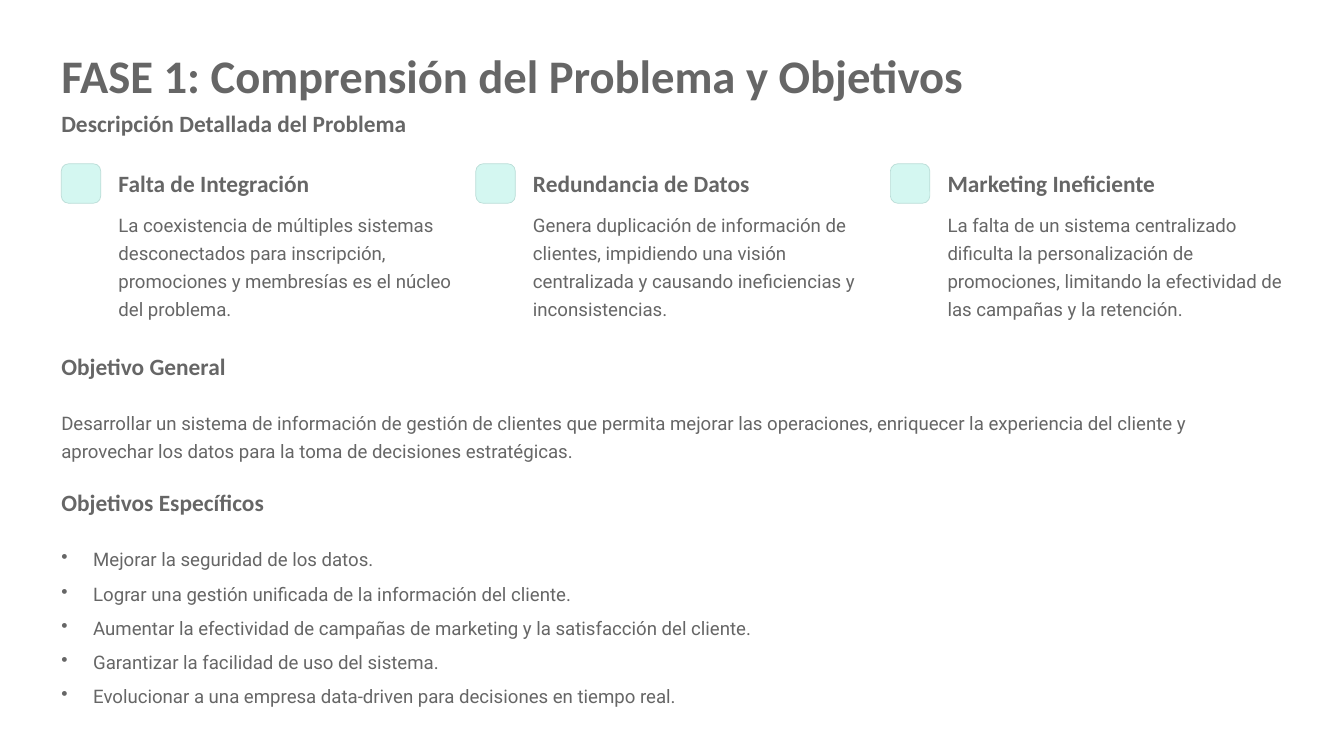
from pptx import Presentation
from pptx.dml.color import RGBColor
from pptx.enum.shapes import MSO_SHAPE
from pptx.enum.text import MSO_ANCHOR, MSO_AUTO_SIZE, PP_ALIGN
from pptx.oxml.ns import qn
from pptx.util import Inches, Pt
from lxml.etree import SubElement

GRAY = RGBColor(0x66, 0x66, 0x66)
MINT = RGBColor(0xD4, 0xF7, 0xF1)
MINT_EDGE = RGBColor(0xBA, 0xDD, 0xD7)

TITLE = "FASE 1: Comprensión del Problema y Objetivos"
HEADINGS = [
    ("Descripción Detallada del Problema", 1.31),
    ("Objetivo General", 4.2),
    ("Objetivos Específicos", 5.82),
]
PROBLEMS = [
    ("Falta de Integración",
     "La coexistencia de múltiples sistemas desconectados para inscripción, "
     "promociones y membresías es el núcleo del problema."),
    ("Redundancia de Datos",
     "Genera duplicación de información de clientes, impidiendo una visión "
     "centralizada y causando ineficiencias y inconsistencias."),
    ("Marketing Ineficiente",
     "La falta de un sistema centralizado dificulta la personalización de "
     "promociones, limitando la efectividad de las campañas y la retención."),
]
GENERAL_GOAL = (
    "Desarrollar un sistema de información de gestión de clientes que permita mejorar las "
    "operaciones, enriquecer la experiencia del cliente y aprovechar los datos para la toma "
    "de decisiones estratégicas."
)
SPECIFIC_GOALS = [
    "Mejorar la seguridad de los datos.",
    "Lograr una gestión unificada de la información del cliente.",
    "Aumentar la efectividad de campañas de marketing y la satisfacción del cliente.",
    "Garantizar la facilidad de uso del sistema.",
    "Evolucionar a una empresa data-driven para decisiones en tiempo real.",
]

LEFT = 0.73
CONTENT_WIDTH = 14.54
COLUMN_STEP = 4.935
TEXT_INDENT = 0.68
BULLET_INDENT = 0.38
BODY = {"font": "Roboto", "size": 16, "line": 24}
HEADING = {"font": "Calibri", "size": 20, "line": 23.5, "bold": True}


def write_text(shape, lines, font, size, line, bold=False, gap=0, bullet=None):
    """Fill a shape with formatted paragraphs."""
    frame = shape.text_frame
    frame.margin_left = frame.margin_top = frame.margin_right = frame.margin_bottom = 0
    frame.word_wrap = True
    frame.auto_size = MSO_AUTO_SIZE.NONE
    frame.vertical_anchor = MSO_ANCHOR.TOP
    frame.text = "\n".join(lines)
    for index, paragraph in enumerate(frame.paragraphs):
        paragraph.alignment = PP_ALIGN.LEFT
        paragraph.line_spacing = Pt(line)
        paragraph.space_before = Pt(gap if index else 0)
        run_font = paragraph.runs[0].font
        run_font.name = font
        run_font.size = Pt(size)
        run_font.bold = bold
        run_font.color.rgb = GRAY
        if bullet:
            properties = paragraph._p.get_or_add_pPr()
            properties.set("marL", str(Inches(BULLET_INDENT)))
            properties.set("indent", str(-Inches(BULLET_INDENT)))
            SubElement(properties, qn("a:buChar")).set("char", bullet)


def add_text(slide, lines, left, top, width, height, **text_format):
    """Add a text box with formatted paragraphs."""
    box = slide.shapes.add_textbox(Inches(left), Inches(top), Inches(width), Inches(height))
    write_text(box, lines, **text_format)


def add_marker(slide, left):
    """Add the rounded square that opens a problem column."""
    marker = slide.shapes.add_shape(
        MSO_SHAPE.ROUNDED_RECTANGLE, Inches(left), Inches(1.95), Inches(0.47), Inches(0.47))
    marker.adjustments[0] = 0.187
    marker.shadow.inherit = False
    marker.fill.solid()
    marker.fill.fore_color.rgb = MINT
    marker.line.color.rgb = MINT_EDGE
    marker.line.width = Pt(0.6)


def main():
    """Build and save the slide."""
    presentation = Presentation()
    presentation.slide_width = Inches(16)
    presentation.slide_height = Inches(9)
    slide = presentation.slides.add_slide(presentation.slide_layouts[5])

    title = slide.shapes.title
    title.left, title.top = Inches(LEFT), Inches(0.57)
    title.width, title.height = Inches(11), Inches(0.65)
    write_text(title, [TITLE], font="Calibri", size=40, line=47, bold=True)

    for heading, top in HEADINGS:
        add_text(slide, [heading], LEFT, top, 4.3, 0.33, **HEADING)

    for index, (name, description) in enumerate(PROBLEMS):
        left = LEFT + index * COLUMN_STEP
        add_marker(slide, left)
        add_text(slide, [name], left + TEXT_INDENT, 2.02, 2.61, 0.33, **HEADING)
        add_text(slide, [description], left + TEXT_INDENT, 2.48, 3.99, 1.33, **BODY)

    add_text(slide, [GENERAL_GOAL], LEFT, 4.84, CONTENT_WIDTH, 0.67, **BODY)
    add_text(slide, SPECIFIC_GOALS, LEFT, 6.46, CONTENT_WIDTH, 1.96,
             gap=5.35, bullet="•", **BODY)

    presentation.save("out.pptx")


if __name__ == "__main__":
    main()
